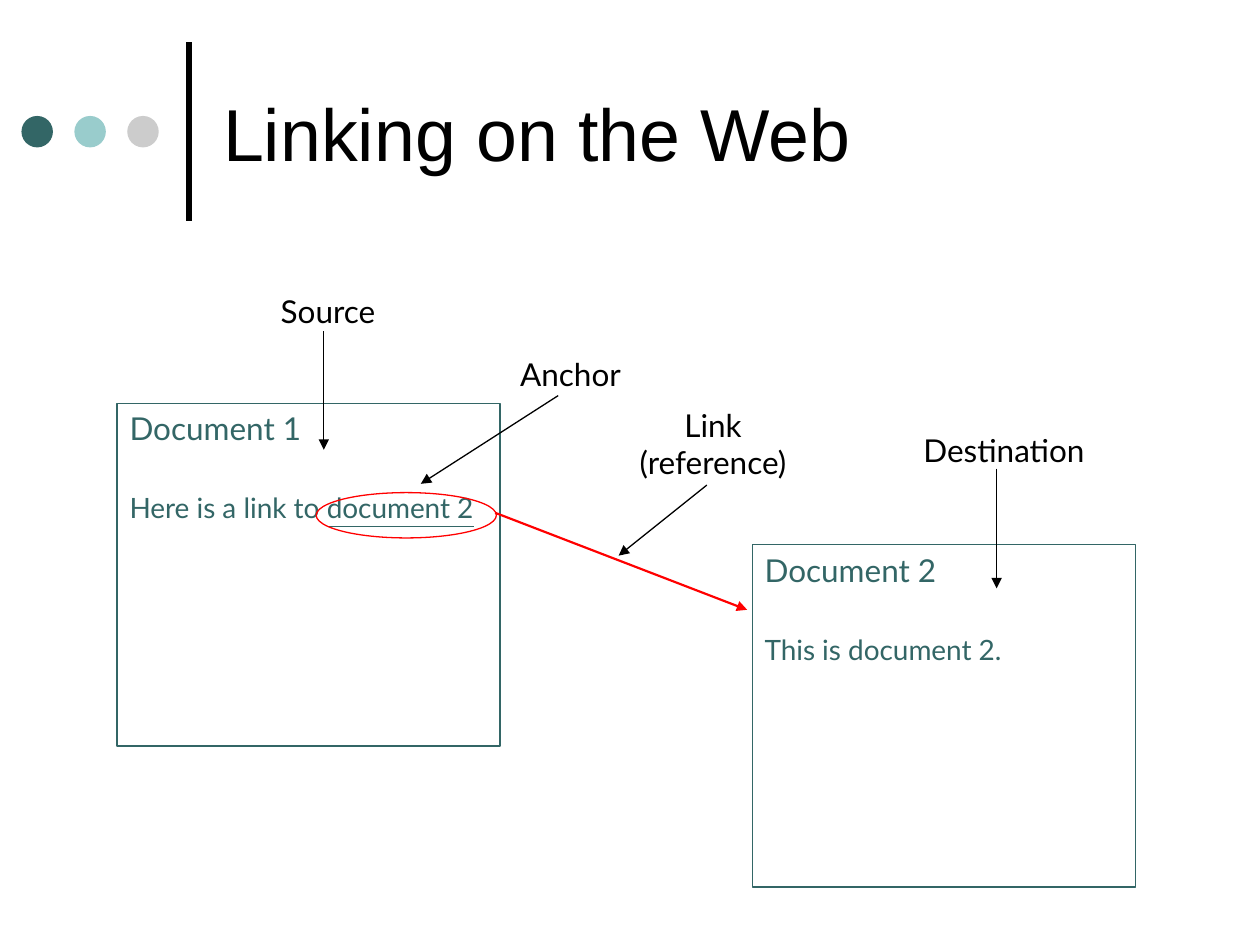
from typing import NamedTuple

from lxml.etree import SubElement
from pptx import Presentation
from pptx.dml.color import RGBColor
from pptx.enum.shapes import MSO_CONNECTOR as Connector, MSO_SHAPE as Shape
from pptx.enum.text import MSO_ANCHOR as Anchor, MSO_AUTO_SIZE as AutoSize, PP_ALIGN as Align
from pptx.oxml.ns import qn
from pptx.util import Inches, Pt

BLACK, TEAL, AQUA, GRAY, RED = "000000", "336666", "99CCCC", "CCCCCC", "FF0000"


class Document(NamedTuple):
    """A document box with a heading and a sentence ending in an optional link."""
    left: float
    top: float
    heading: str
    sentence: str
    link: str = ""


class Label(NamedTuple):
    """A caption with its box."""
    text: str
    left: float
    top: float
    width: float
    height: float = 0.4
    align: Align = Align.LEFT


class Line(NamedTuple):
    """A straight line, by default a thin black arrow."""
    start: tuple[float, float]
    end: tuple[float, float]
    color: str = BLACK
    width: float = 0.75
    arrow: bool = True


DOCUMENTS = [
    Document(0.93, 3.2, "Document 1", "Here is a link to ", "document 2"),
    Document(5.97, 4.32, "Document 2", "This is document 2."),
]
LABELS = [
    Label("Source", 2.13, 2.27, 1.33),
    Label("Anchor", 4.03, 2.77, 1.33),
    Label("Link (reference)", 4.83, 3.17, 1.66, 0.7, Align.CENTER),
    Label("Destination", 7.23, 3.37, 1.6),
]
LINES = [
    Line((1.5, 1.75), (1.5, 0.33), width=3, arrow=False),
    Line((3.93, 4.07), (5.93, 4.84), RED, 1.25),
    Line((2.57, 2.63), (2.57, 3.57)),
    Line((4.43, 3.14), (3.34, 3.84)),
    Line((5.61, 3.85), (4.91, 4.41)),
    Line((7.91, 3.72), (7.91, 4.67)),
]


def rgb(color: str) -> RGBColor:
    """Turn a hex string into a colour."""
    return RGBColor.from_string(color)


def add_text(paragraph, text: str, color: str, **formats) -> None:
    """Add a run with the given font attributes."""
    run = paragraph.add_run()
    run.text = text
    for name, value in ({"name": "Lato", "size": Pt(18)} | formats).items():
        setattr(run.font, name, value)
    run.font.color.rgb = rgb(color)


def add_shape(slide, kind: Shape, box: tuple, fill: str = "", outline: str = ""):
    """Add a flat shape with an optional fill and outline."""
    shape = slide.shapes.add_shape(kind, *map(Inches, box))
    shape.shadow.inherit = False
    if fill:
        shape.fill.solid()
        shape.fill.fore_color.rgb = rgb(fill)
    else:
        shape.fill.background()
    if outline:
        shape.line.color.rgb = rgb(outline)
        shape.line.width = Pt(0.75)
    else:
        shape.line.fill.background()
    return shape


def add_document(slide, document: Document) -> None:
    """Draw a document box and its text."""
    box = (document.left, document.top, 3.04, 2.72)
    frame = add_shape(slide, Shape.RECTANGLE, box, outline=TEAL).text_frame
    frame.word_wrap = True
    frame.vertical_anchor = Anchor.TOP
    heading, sentence = frame.paragraphs[0], frame.add_paragraph()
    heading.alignment = sentence.alignment = Align.LEFT
    sentence.space_before = Pt(25)
    add_text(heading, document.heading, TEAL)
    add_text(sentence, document.sentence, TEAL, size=Pt(16))
    if document.link:
        add_text(sentence, document.link, TEAL, size=Pt(16), underline=True)


def add_label(slide, label: Label) -> None:
    """Write a caption."""
    box = (label.left, label.top, label.width, label.height)
    frame = slide.shapes.add_textbox(*map(Inches, box)).text_frame
    frame.word_wrap = True
    frame.paragraphs[0].alignment = label.align
    add_text(frame.paragraphs[0], label.text, BLACK)


def add_line(slide, line: Line) -> None:
    """Draw a line, with an arrowhead at its end if wanted."""
    ends = map(Inches, line.start + line.end)
    connector = slide.shapes.add_connector(Connector.STRAIGHT, *ends)
    connector.line.color.rgb = rgb(line.color)
    connector.line.width = Pt(line.width)
    if line.arrow:
        SubElement(connector.line._get_or_add_ln(), qn("a:tailEnd"), type="triangle")
    SubElement(connector._element.spPr, qn("a:effectLst"))


def set_title(slide, text: str) -> None:
    """Place and format the title placeholder."""
    title = slide.shapes.title
    box = {"left": 1.67, "top": 0.21, "width": 7.67, "height": 1.67}
    for name, value in box.items():
        setattr(title, name, Inches(value))
    formats = {"word_wrap": True, "auto_size": AutoSize.NONE, "vertical_anchor": Anchor.MIDDLE}
    for name, value in formats.items():
        setattr(title.text_frame, name, value)
    paragraph = title.text_frame.paragraphs[0]
    paragraph.alignment = Align.LEFT
    add_text(paragraph, text, BLACK, name="Arial", size=Pt(42))


def main() -> None:
    """Build the slide and save it."""
    presentation = Presentation()
    presentation.slide_width, presentation.slide_height = Inches(10), Inches(7.5)
    slide = presentation.slides.add_slide(presentation.slide_layouts[5])
    set_title(slide, "Linking on the Web")
    for index, color in enumerate((TEAL, AQUA, GRAY)):
        add_shape(slide, Shape.OVAL, (0.17 + 0.42 * index, 0.92, 0.25, 0.25), fill=color)
    for document in DOCUMENTS:
        add_document(slide, document)
    add_shape(slide, Shape.OVAL, (2.51, 3.91, 1.43, 0.36), outline=RED)
    for label in LABELS:
        add_label(slide, label)
    for line in LINES:
        add_line(slide, line)
    presentation.save("out.pptx")


main()
